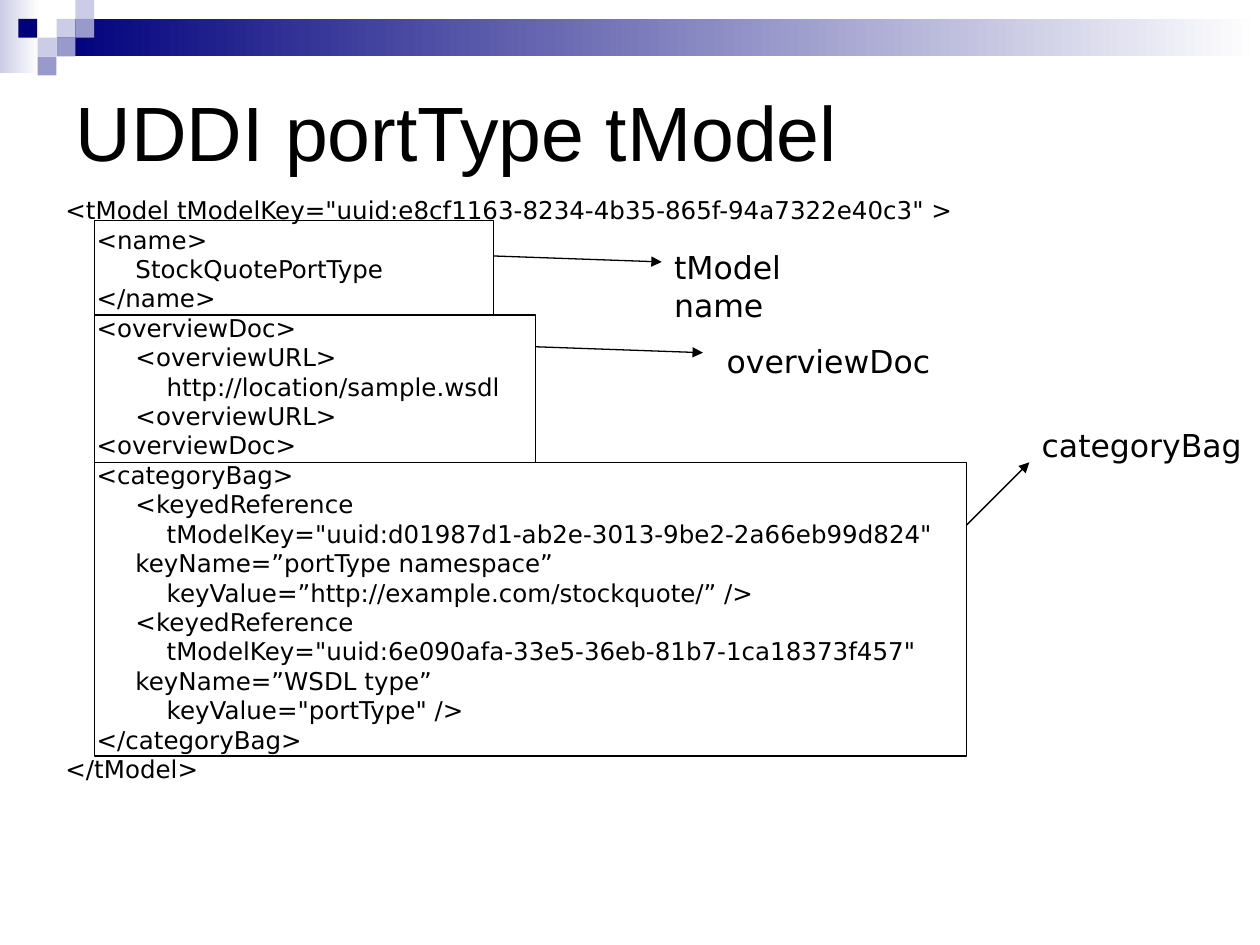
from lxml import etree
from pptx import Presentation
from pptx.dml.color import RGBColor
from pptx.enum.shapes import MSO_CONNECTOR, MSO_SHAPE
from pptx.enum.text import MSO_ANCHOR, MSO_AUTO_SIZE, PP_ALIGN
from pptx.oxml.ns import qn
from pptx.util import Cm, Pt

RECTANGLE = MSO_SHAPE.RECTANGLE
STRAIGHT = MSO_CONNECTOR.STRAIGHT
LEFT = PP_ALIGN.LEFT
MIDDLE, TOP = MSO_ANCHOR.MIDDLE, MSO_ANCHOR.TOP
NO_AUTOFIT = MSO_AUTO_SIZE.NONE

BLACK, WHITE = "000000", "FFFFFF"
NAVY, LILAC, VIOLET = "00007D", "CCCCE6", "9999CC"
TILE = 0.38

TILES = [
    (1.14, TILE, LILAC),
    (1.52, 0, LILAC),
    (1.52, TILE, VIOLET),
    (0.76, 2 * TILE, LILAC),
    (0.37, TILE, NAVY),
    (1.14, 2 * TILE, VIOLET),
    (0.76, 3 * TILE, VIOLET),
]

CODE = '''<tModel tModelKey="uuid:e8cf1163-8234-4b35-865f-94a7322e40c3" >
    <name>
         StockQuotePortType
    </name>
    <overviewDoc>
         <overviewURL>
             http://location/sample.wsdl
         <overviewURL>
    <overviewDoc>
    <categoryBag>
         <keyedReference
             tModelKey="uuid:d01987d1-ab2e-3013-9be2-2a66eb99d824"
         keyName=”portType namespace”
             keyValue=”http://example.com/stockquote/” />
         <keyedReference
             tModelKey="uuid:6e090afa-33e5-36eb-81b7-1ca18373f457"
         keyName=”WSDL type”
             keyValue="portType" />
    </categoryBag>
</tModel>'''

FRAMES_LEFT, FRAMES_TOP = 1.9, 4.45
# Frame width and height, arrow start height, arrow end, label, label box (left, top, width)
SECTIONS = [
    (8.05, 1.9, 5.16, (13.34, 5.28), "tModel name", (13.34, 4.88, 4.65)),
    (8.89, 2.97, 6.99, (14.17, 7.11), "overviewDoc", (14.4, 6.78, 4.65)),
    (17.58, 5.92, 10.59, (20.75, 9.32), "categoryBag", (20.75, 8.46, 5.08)),
]


def rgb(color):
    return RGBColor.from_string(color)


def write(frame, text, size=18, font="DejaVu Sans", color=BLACK, anchor=TOP):
    """Fill a text frame, one paragraph for each line of text."""
    frame.word_wrap = True
    frame.auto_size = NO_AUTOFIT
    frame.vertical_anchor = anchor
    frame.text = text
    for paragraph in frame.paragraphs:
        paragraph.alignment = LEFT
        paragraph.font.size = Pt(size)
        paragraph.font.name = font
        paragraph.font.color.rgb = rgb(color)


def add_text(slide, text, left, top, width, height, **text_format):
    box = slide.shapes.add_textbox(Cm(left), Cm(top), Cm(width), Cm(height))
    write(box.text_frame, text, **text_format)


def add_rectangle(slide, left, top, width, height):
    rectangle = slide.shapes.add_shape(RECTANGLE, Cm(left), Cm(top), Cm(width), Cm(height))
    rectangle.shadow.inherit = False
    return rectangle


def add_tile(slide, left, top, color):
    tile = add_rectangle(slide, left, top, TILE, TILE)
    tile.fill.solid()
    tile.fill.fore_color.rgb = rgb(color)
    tile.line.fill.background()


def add_fading_band(slide, left, top, width, height, color):
    band = add_rectangle(slide, left, top, width, height)
    band.fill.gradient()
    band.fill.gradient_angle = 0
    for stop, stop_color in zip(band.fill.gradient_stops, (color, WHITE)):
        stop.color.rgb = rgb(stop_color)
    band.line.fill.background()


def add_frame(slide, left, top, width, height):
    frame = add_rectangle(slide, left, top, width, height)
    frame.fill.background()
    frame.line.color.rgb = rgb(BLACK)
    frame.line.width = Pt(0.75)


def add_arrow(slide, start, end):
    arrow = slide.shapes.add_connector(STRAIGHT, *map(Cm, start + end))
    arrow.line.color.rgb = rgb(BLACK)
    arrow.line.width = Pt(0.75)
    etree.SubElement(arrow.line._get_or_add_ln(), qn("a:tailEnd"), type="triangle")
    etree.SubElement(arrow._element.spPr, qn("a:effectLst"))


def add_title(slide, text):
    title = slide.shapes.title
    title.left, title.top, title.width, title.height = map(Cm, (1.27, 1.27, 22.86, 2.74))
    write(title.text_frame, text, size=44, font="Arial", anchor=MIDDLE)


def add_header(slide):
    add_fading_band(slide, 0, 0, 0.79, 1.47, LILAC)
    add_fading_band(slide, 1.14, TILE, 24.26, 0.76, NAVY)
    for tile in TILES:
        add_tile(slide, *tile)


def add_sections(slide):
    """Stack the frames over the code and point from each one to its label."""
    top = FRAMES_TOP
    for width, height, arrow_top, arrow_end, label, label_box in SECTIONS:
        add_frame(slide, FRAMES_LEFT, top, width, height)
        add_arrow(slide, (FRAMES_LEFT + width, arrow_top), arrow_end)
        add_text(slide, label, *label_box, 1.02)
        top += height


def main():
    presentation = Presentation()
    presentation.slide_width, presentation.slide_height = Cm(25.4), Cm(19.05)
    slide = presentation.slides.add_slide(presentation.slide_layouts[5])
    add_header(slide)
    add_title(slide, "UDDI portType tModel")
    add_text(slide, CODE, 1.07, 3.81, 23.06, 12.12, size=14)
    add_sections(slide)
    presentation.save("out.pptx")


if __name__ == "__main__":
    main()
